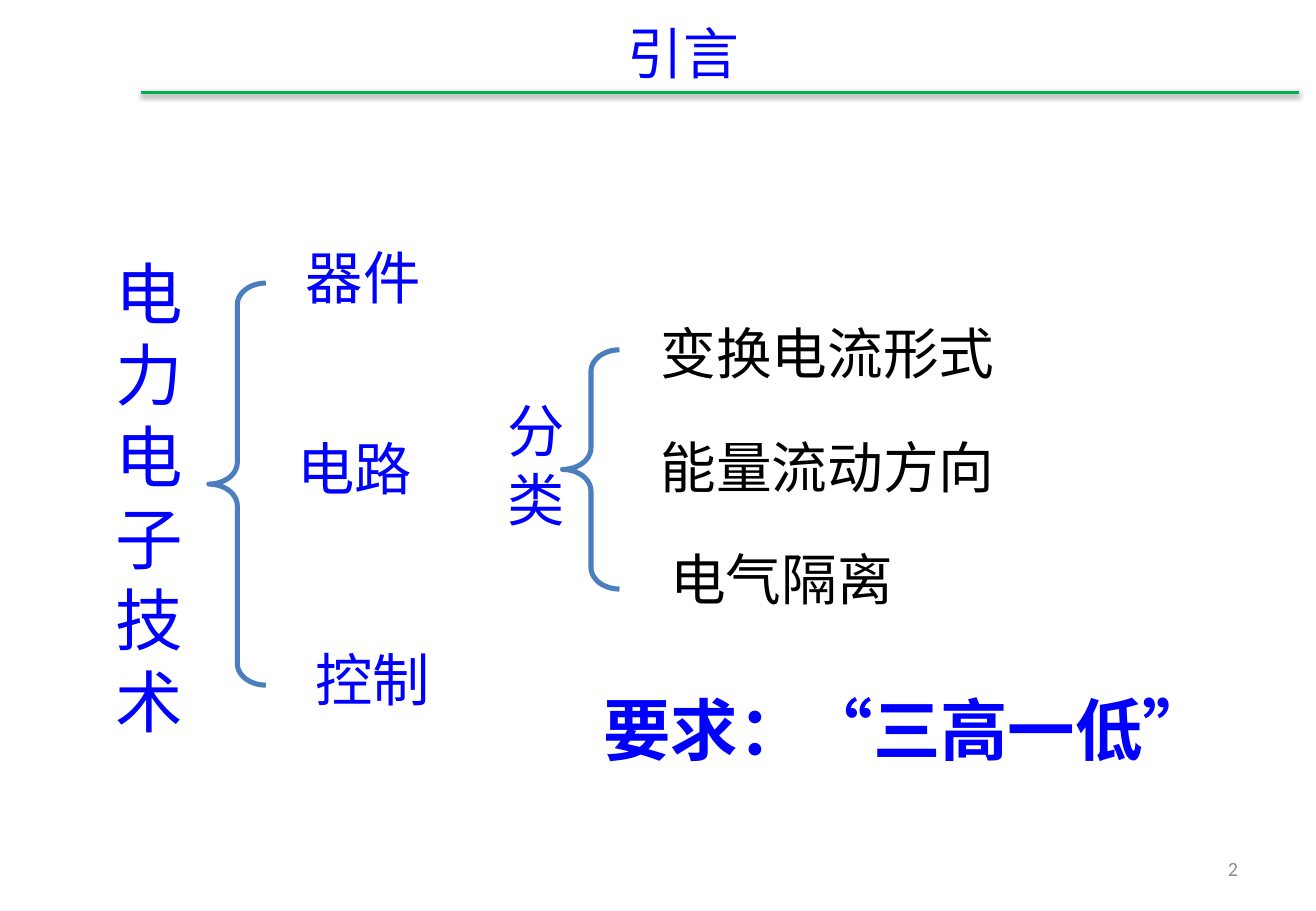
from pptx import Presentation
from pptx.dml.color import RGBColor
from pptx.enum.lang import MSO_LANGUAGE_ID
from pptx.enum.shapes import MSO_CONNECTOR, MSO_SHAPE
from pptx.enum.text import MSO_ANCHOR, PP_ALIGN
from pptx.oxml import parse_xml
from pptx.oxml.ns import nsdecls
from pptx.util import Pt
from lxml.etree import SubElement
from pptx.oxml.ns import qn

theme = {
    "cjk": "Noto Sans CJK SC", "latin": "Calibri",
    "blue": "0000FF", "black": "000000", "gray": "8C8C8C",
    "green": "00B050", "brace": "4B7EBC",
    "large": 40, "label": 34, "item": 33, "small": 12,
    "pitch": 1.21,
}

deck = Presentation()
deck.slide_width, deck.slide_height = Pt(780), Pt(540)
slide = deck.slides.add_slide(deck.slide_layouts[6])


def color(name):
    return RGBColor.from_string(theme[name])


def write(text, area, size, ink="blue", bold=False, wrap=True, face="cjk"):
    box = slide.shapes.add_textbox(*map(Pt, area))
    frame = box.text_frame
    frame.word_wrap = wrap
    points = theme[size]
    form = {"size": Pt(points), "bold": bold, "name": theme[face]}
    for part, line in enumerate(text.split("\n")):
        para = frame.add_paragraph() if part else frame.paragraphs[0]
        para.line_spacing = Pt(round(points * theme["pitch"], 1))
        run = para.add_run()
        run.text = line
        for key, value in form.items():
            setattr(run.font, key, value)
        run.font.color.rgb = color(ink)
        if face == "cjk":
            run.font.language_id = MSO_LANGUAGE_ID.SIMPLIFIED_CHINESE
            east = SubElement(run.font._element, qn("a:ea"))
            east.set("typeface", theme[face])
    return frame


# Title and green rule with its soft shadow
write("引言", (365, 7.2, 124.6, 47.5), "item")
rule = slide.shapes.add_connector(
    MSO_CONNECTOR.STRAIGHT, Pt(83.5), Pt(54.7), Pt(769.7), Pt(54.7))
rule.line.color.rgb = color("green")
rule.line.width = Pt(2)
rule._element.spPr.append(parse_xml(
    f'<a:effectLst {nsdecls("a")}>'
    f'<a:outerShdw blurRad="{Pt(3.1)}" dist="{Pt(1.6)}" dir="5400000" rotWithShape="0">'
    '<a:srgbClr val="000000"><a:alpha val="38000"/></a:srgbClr>'
    '</a:outerShdw></a:effectLst>'))

# Braces
for area in ((123.8, 167.8, 33.8, 238.3), (333.4, 207.4, 33.8, 141.8)):
    brace = slide.shapes.add_shape(MSO_SHAPE.LEFT_BRACE, *map(Pt, area))
    brace.shadow.inherit = False
    brace.fill.background()
    brace.line.color.rgb = color("brace")
    brace.line.width = Pt(3)
    brace.adjustments[0] = 0.38
    brace.adjustments[1] = 0.5

# Subject and its three branches
write("电力电子技术", (61.2, 145.4, 39.6, 298.1), "large")
for text, left, top in (("器件", 174.2, 139.7), ("电路", 169.2, 252.7),
                        ("控制", 180, 378)):
    write(text, (left, top, 141.8, 48.2), "label")

# Circuit classes
write("分\n类", (293.8, 230.4, 33.8, 90), "label")
for text, left, top, width in (("变换电流形式", 384.5, 185, 214.6),
                               ("能量流动方向", 384.5, 252.7, 214.6),
                               ("电气隔离", 390.2, 319, 147.6)):
    write(text, (left, top, width, 47.5), "item", "black", wrap=False)

# Requirement
write("要求：“三高一低”", (350.6, 403.9, 378, 55.4), "large", bold=True, wrap=False)

# Page number
page = write("2", (558.7, 500.4, 182.2, 28.8), "small", "gray", face="latin")
page.vertical_anchor = MSO_ANCHOR.MIDDLE
page.paragraphs[0].alignment = PP_ALIGN.RIGHT

deck.save("out.pptx")
